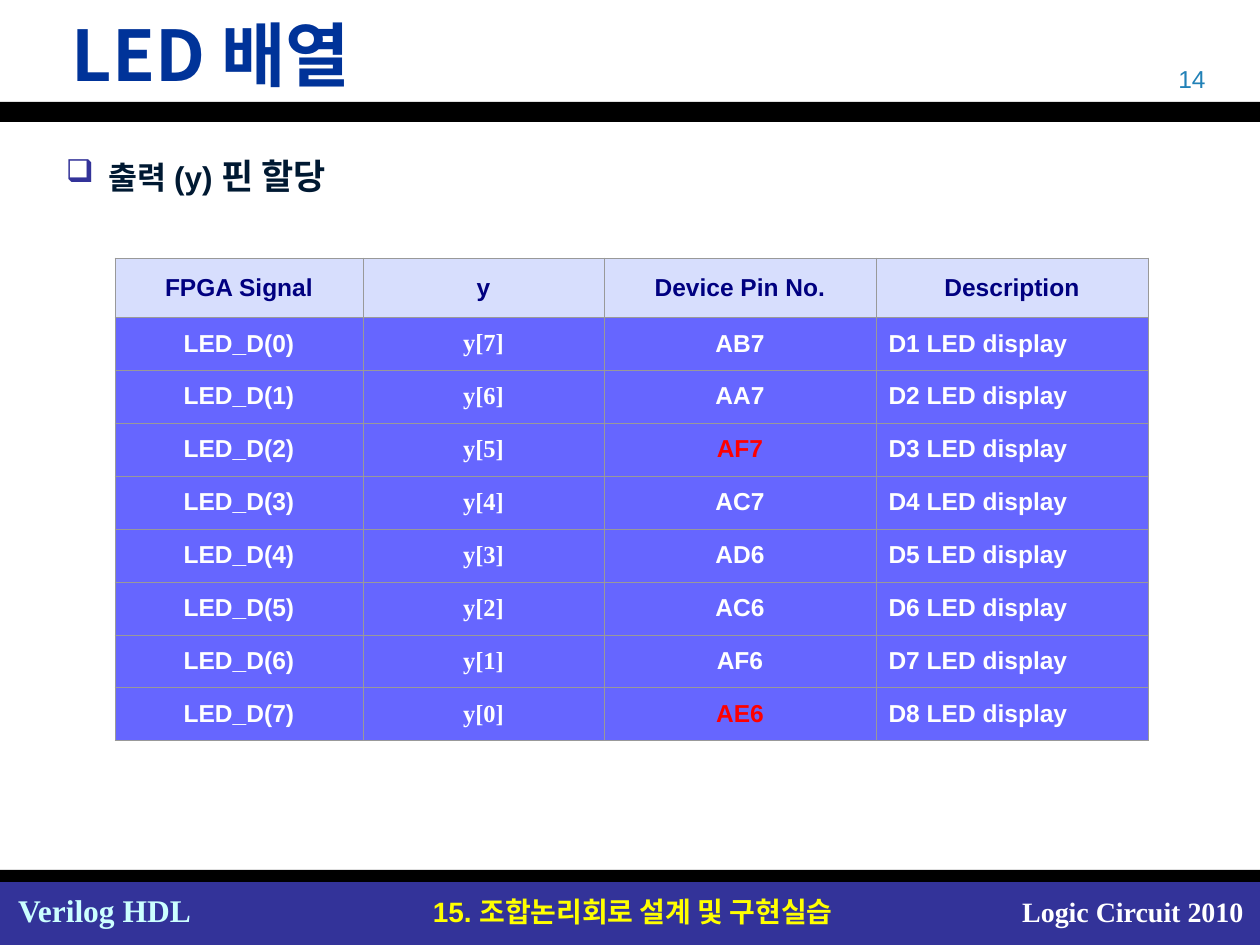
from lxml.etree import SubElement
from pptx import Presentation
from pptx.dml.color import RGBColor
from pptx.enum.shapes import MSO_SHAPE as Shape
from pptx.enum.text import MSO_ANCHOR as Anchor, PP_ALIGN as Align
from pptx.oxml.ns import qn
from pptx.util import Emu, Pt

PX = 914400 // 126

WHITE = RGBColor(0xFF, 0xFF, 0xFF)
BLACK = RGBColor(0x00, 0x00, 0x00)
INDIGO = RGBColor(0x33, 0x33, 0x99)
TITLE_BLUE = RGBColor(0x00, 0x33, 0x99)
PAGE_BLUE = RGBColor(0x21, 0x81, 0xB7)
INK = RGBColor(0x00, 0x19, 0x32)
YELLOW = RGBColor(0xFF, 0xFF, 0x00)
PALE_CYAN = RGBColor(0xCC, 0xFF, 0xFF)
NAVY = RGBColor(0x00, 0x00, 0x80)
HEADER_FILL = RGBColor(0xD7, 0xDE, 0xFD)
ROW_FILL = RGBColor(0x66, 0x66, 0xFF)
RED = RGBColor(0xFF, 0x00, 0x00)
GRID = RGBColor(0x99, 0x99, 0x99)

SANS = "Arial"
SERIF = "Times New Roman"
KOREAN = "Noto Sans CJK KR"


def px(length):
    return Emu(length * PX)


def add_span(para, text, size=14, font=SANS, color=WHITE, bold=True):
    span = para.add_run()
    span.text = text
    span.font.size = Pt(size)
    span.font.name = font
    span.font.bold = bold
    span.font.color.rgb = color
    SubElement(span.font._element, qn("a:ea"), typeface=KOREAN)


class SlideBuilder:
    def __init__(self, deck):
        self.page = deck.slides.add_slide(deck.slide_layouts[6])

    def bar(self, top, height, color):
        bar = self.page.shapes.add_shape(
            Shape.RECTANGLE, 0, px(top), px(1260), px(height))
        bar.shadow.inherit = False
        bar.fill.solid()
        bar.fill.fore_color.rgb = color
        bar.line.fill.background()

    def text(self, left, top, width, height, text="", align=Align.LEFT,
             anchor=Anchor.TOP, indent=0, **style):
        box = self.page.shapes.add_textbox(
            px(left), px(top), px(width), px(height))
        frame = box.text_frame
        frame.word_wrap = True
        frame.vertical_anchor = anchor
        frame.margin_left = px(13 + indent)
        para = frame.paragraphs[0]
        para.alignment = align
        if text:
            add_span(para, text, **style)
        return para

    def bullet(self, left, top, width, height, spans, hang, **style):
        para = self.text(left, top, width, height)
        props = para._p.get_or_add_pPr()
        props.set("marL", str(px(hang)))
        props.set("indent", str(-px(hang)))
        para.line_spacing = 1.2
        color = SubElement(props, qn("a:buClr"))
        SubElement(color, qn("a:srgbClr"), val=str(INDIGO))
        SubElement(props, qn("a:buChar"), char="❑")
        for text, size in spans:
            add_span(para, text, size=size, **style)

    def cell(self, cell, text, fill, align=Align.CENTER, **style):
        props = cell._tc.get_or_add_tcPr()
        for side in ("lnL", "lnR", "lnT", "lnB"):
            line = SubElement(props, qn(f"a:{side}"), w=str(Pt(0.45)))
            paint = SubElement(line, qn("a:solidFill"))
            SubElement(paint, qn("a:srgbClr"), val=str(GRID))
        cell.fill.solid()
        cell.fill.fore_color.rgb = fill
        cell.vertical_anchor = Anchor.MIDDLE
        para = cell.text_frame.paragraphs[0]
        para.alignment = align
        add_span(para, text, **style)

    def table(self, left, top, widths, heights):
        table = self.page.shapes.add_table(
            len(heights), len(widths), px(left), px(top),
            px(sum(widths)), px(sum(heights))).table
        for column, width in zip(table.columns, widths):
            column.width = px(width)
        for row, height in zip(table.rows, heights):
            row.height = px(height)
        return table


def main():
    deck = Presentation()
    deck.slide_width, deck.slide_height = px(1260), px(945)
    slide = SlideBuilder(deck)

    # Footer and rules
    slide.bar(882, 63, INDIGO)
    slide.text(387, 888, 491, 47, "15. 조합논리회로 설계 및 구현실습",
               align=Align.CENTER, size=16, color=YELLOW)
    slide.bar(102, 20, BLACK)
    slide.bar(870, 12, BLACK)
    slide.text(993, 888, 263, 47, "Logic Circuit 2010",
               align=Align.RIGHT, size=16, font=SERIF)
    slide.text(5, 885, 210, 50, "Verilog HDL",
               size=18, font=SERIF, color=PALE_CYAN)

    # Page number, title and topic
    slide.text(924, 58, 294, 42, "14", align=Align.RIGHT,
               color=PAGE_BLUE, bold=False)
    slide.text(21, 6, 1218, 95, "LED 배열", anchor=Anchor.MIDDLE, indent=38,
               size=40, font=KOREAN, color=TITLE_BLUE)
    slide.bullet(53, 140, 573, 89, [("출력 (y) ", 18), ("핀 할당", 20)],
                 hang=43, color=INK)

    # Pin assignment table
    pins = ["AB7", "AA7", "AF7", "AC7", "AD6", "AC6", "AF6", "AE6"]
    marked = {"AF7", "AE6"}
    headings = ["FPGA Signal", "y", "Device Pin No.", "Description"]
    table = slide.table(115, 258, [248, 241, 272, 272],
                        [59] + [53] * len(pins))
    for column, heading in enumerate(headings):
        slide.cell(table.cell(0, column), heading, HEADER_FILL, color=NAVY)
    for index, pin in enumerate(pins):
        row = index + 1
        slide.cell(table.cell(row, 0), f"LED_D({index})", ROW_FILL)
        slide.cell(table.cell(row, 1), f"y[{len(pins) - row}]", ROW_FILL,
                   font=SERIF)
        slide.cell(table.cell(row, 2), pin, ROW_FILL,
                   color=RED if pin in marked else WHITE)
        slide.cell(table.cell(row, 3), f"D{row} LED display", ROW_FILL,
                   align=Align.LEFT)

    deck.save("out.pptx")


if __name__ == "__main__":
    main()
